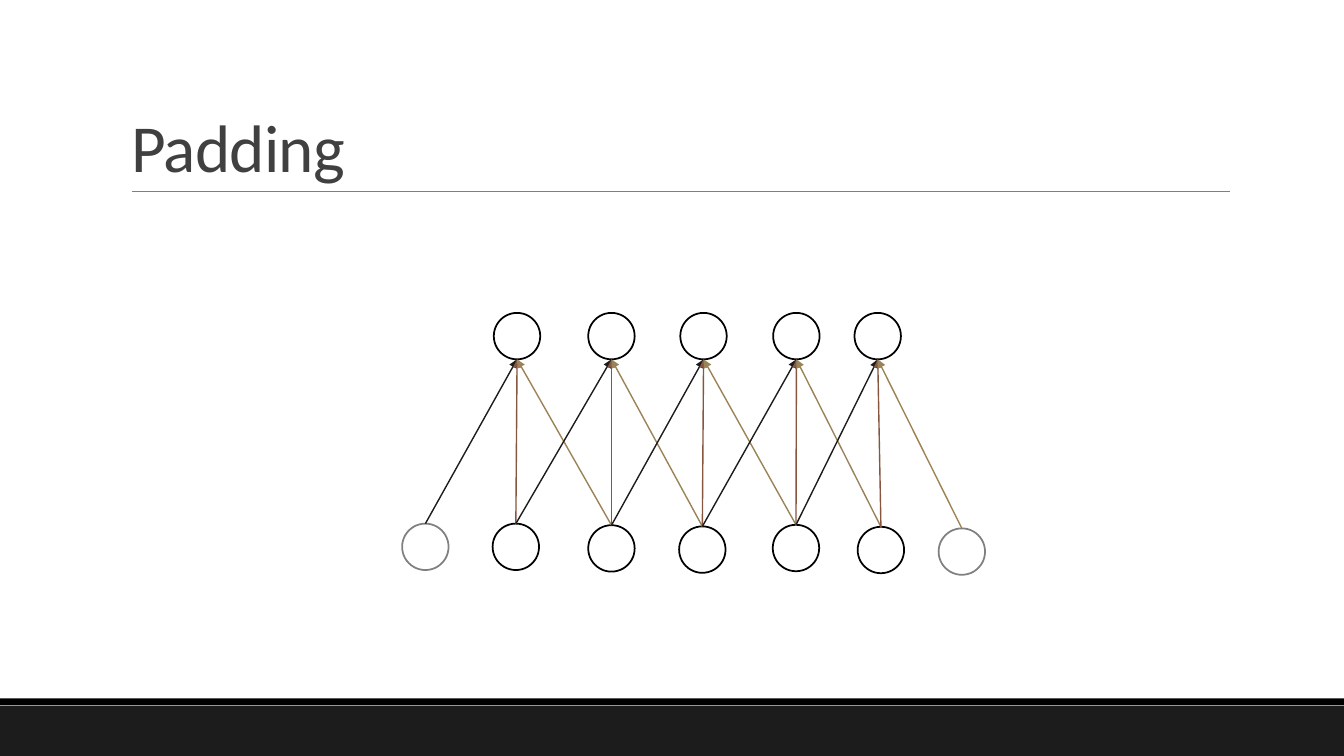
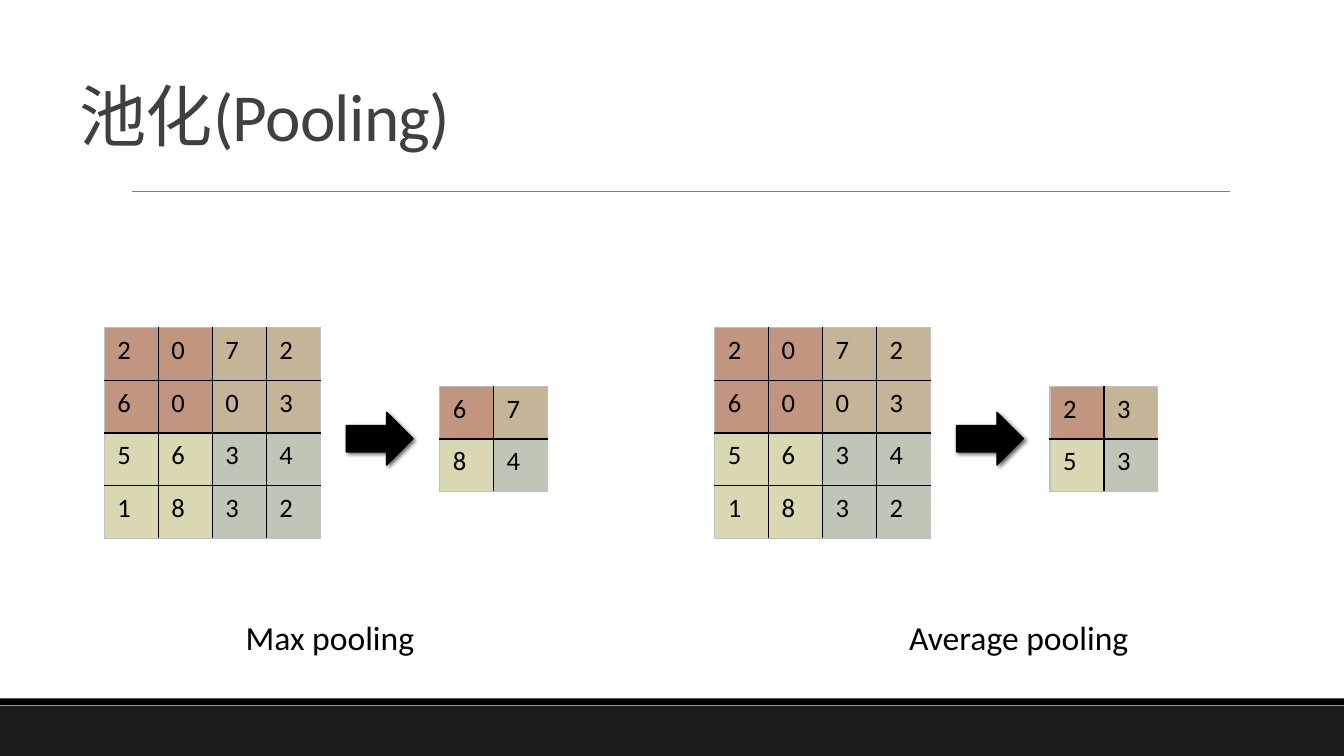
from lxml import etree
from pptx import Presentation
from pptx.dml.color import RGBColor
from pptx.enum.shapes import MSO_CONNECTOR, MSO_SHAPE
from pptx.enum.text import MSO_ANCHOR, MSO_AUTO_SIZE, PP_ALIGN
from pptx.oxml import parse_xml
from pptx.oxml.ns import nsdecls, qn
from pptx.util import Cm, Pt

STRAIGHT = MSO_CONNECTOR.STRAIGHT
RECTANGLE = MSO_SHAPE.RECTANGLE
OVAL = MSO_SHAPE.OVAL
RIGHT_ARROW = MSO_SHAPE.RIGHT_ARROW
BOTTOM = MSO_ANCHOR.BOTTOM
LEFT = PP_ALIGN.LEFT
NO_AUTOFIT = MSO_AUTO_SIZE.NONE

BLACK = RGBColor(0x00, 0x00, 0x00)
WHITE = RGBColor(0xFF, 0xFF, 0xFF)
CHARCOAL = RGBColor(0x1C, 0x1C, 0x1C)
TITLE_GRAY = RGBColor(0x40, 0x40, 0x40)
GRAY = RGBColor(0x80, 0x80, 0x80)
SILVER = RGBColor(0xBF, 0xBF, 0xBF)
RUST = RGBColor(0x86, 0x56, 0x40)
TAN = RGBColor(0x9B, 0x83, 0x57)
QUADRANT_FILLS = (
    (RGBColor(0xC2, 0x95, 0x80), RGBColor(0xC5, 0xB5, 0x98)),
    (RGBColor(0xDA, 0xD7, 0xB3), RGBColor(0xBF, 0xC6, 0xB8)),
)
KERNEL_COLORS = (CHARCOAL, RUST, TAN)

FONT = "Calibri"
SLIDE_WIDTH, SLIDE_HEIGHT = 33.87, 19.05
TITLE_ONLY_LAYOUT = 5

NODE_SIZE = 1.17
OUTPUT_Y = 8.47
OUTPUT_XS = (13.03, 15.41, 17.73, 20.07, 22.12)
INPUT_CENTERS = (
    (10.72, 13.78), (13, 13.78), (15.41, 13.82), (17.7, 13.85),
    (20.06, 13.81), (22.2, 13.86), (24.24, 13.9),
)

COLUMN_WIDTH, ROW_HEIGHT = 1.36, 1.33
MATRIX = ((2, 0, 7, 2), (6, 0, 0, 3), (5, 6, 3, 4), (1, 8, 3, 2))


def write_text(frame, text, size, color=BLACK, spacing=None, line_spacing=None):
    para = frame.paragraphs[0]
    para.alignment = LEFT
    if line_spacing:
        para.line_spacing = line_spacing
    span = para.add_run()
    span.text = text
    span.font.name = FONT
    span.font.size = Pt(size)
    span.font.color.rgb = color
    if spacing:
        span.font._element.set("spc", str(round(spacing * 100)))


def add_shape(page, kind, left, top, width, height, fill, line=None, weight=1):
    shape = page.shapes.add_shape(kind, Cm(left), Cm(top), Cm(width), Cm(height))
    shape.shadow.inherit = False
    shape.fill.solid()
    shape.fill.fore_color.rgb = fill
    if line is None:
        shape.line.fill.background()
    else:
        shape.line.color.rgb = line
        shape.line.width = Pt(weight)
    return shape


def add_line(page, start, end, color, weight, arrow=False):
    line = page.shapes.add_connector(STRAIGHT, *(Cm(value) for value in (*start, *end)))
    line.line.color.rgb = color
    line.line.width = Pt(weight)
    properties = line._element.spPr
    if arrow:
        etree.SubElement(properties.find(qn("a:ln")), qn("a:tailEnd"), type="triangle")
    etree.SubElement(properties, qn("a:effectLst"))


def add_page(deck, title, left, top, width, height):
    page = deck.slides.add_slide(deck.slide_layouts[TITLE_ONLY_LAYOUT])
    add_shape(page, RECTANGLE, 0, 17.78, SLIDE_WIDTH, 1.27, CHARCOAL)
    add_shape(page, RECTANGLE, 0, 17.6, SLIDE_WIDTH, 0.17, BLACK)
    add_line(page, (3.32, 4.82), (31, 4.82), GRAY, 0.5)
    box = page.shapes.title
    box.left, box.top, box.width, box.height = Cm(left), Cm(top), Cm(width), Cm(height)
    frame = box.text_frame
    frame.vertical_anchor = BOTTOM
    frame.auto_size = NO_AUTOFIT
    write_text(frame, title, 48, color=TITLE_GRAY, spacing=-0.5, line_spacing=0.85)
    return page


def add_node(page, center, line):
    left, top = (value - NODE_SIZE / 2 for value in center)
    add_shape(page, OVAL, left, top, NODE_SIZE, NODE_SIZE, WHITE, line, 1.25)


def add_convolution(page):
    last = len(INPUT_CENTERS) - 1
    for index, center in enumerate(INPUT_CENTERS):
        add_node(page, center, GRAY if index in (0, last) else BLACK)
    for x in OUTPUT_XS:
        add_node(page, (x, OUTPUT_Y), BLACK)
    radius = NODE_SIZE / 2
    for index, output_x in enumerate(OUTPUT_XS):
        for offset, color in enumerate(KERNEL_COLORS):
            input_x, input_y = INPUT_CENTERS[index + offset]
            add_line(page, (input_x, input_y - radius), (output_x, OUTPUT_Y + radius),
                     color, 1, arrow=True)


def set_borders(cell, colors):
    properties = cell._tc.get_or_add_tcPr()
    for side, color in colors.items():
        properties.append(parse_xml(
            f'<a:ln{side} {nsdecls("a")} w="12700"><a:solidFill>'
            f'<a:srgbClr val="{color}"/></a:solidFill></a:ln{side}>'))


def add_matrix(page, rows, left, top):
    count = len(rows)
    table = page.shapes.add_table(
        count, count, Cm(left), Cm(top),
        Cm(count * COLUMN_WIDTH), Cm(count * ROW_HEIGHT)).table
    table.first_row = False
    table.horz_banding = False
    for index in range(count):
        table.columns[index].width = Cm(COLUMN_WIDTH)
        table.rows[index].height = Cm(ROW_HEIGHT)
    for row, values in enumerate(rows):
        for column, value in enumerate(values):
            cell = table.cell(row, column)
            cell.margin_left = cell.margin_right = Cm(0.33)
            cell.margin_top = cell.margin_bottom = Cm(0.17)
            set_borders(cell, {
                "L": BLACK if column else SILVER,
                "R": BLACK if column < count - 1 else SILVER,
                "T": BLACK if row else SILVER,
                "B": BLACK if row < count - 1 else SILVER,
            })
            cell.fill.solid()
            cell.fill.fore_color.rgb = QUADRANT_FILLS[row * 2 // count][column * 2 // count]
            write_text(cell.text_frame, str(value), 19)


def add_block_arrow(page, left, top):
    arrow = add_shape(page, RIGHT_ARROW, left, top, 1.68, 1.33, BLACK, BLACK)
    effects = arrow._element.spPr.find(qn("a:effectLst"))
    effects.append(parse_xml(
        f'<a:outerShdw {nsdecls("a")} blurRad="38100" dist="25400" dir="2700000">'
        '<a:srgbClr val="000000"><a:alpha val="60000"/></a:srgbClr></a:outerShdw>'))


def pool(rows, reduce_window):
    return [
        [reduce_window([rows[row + down][column + across]
                        for down in range(2) for across in range(2)])
         for column in range(0, len(rows), 2)]
        for row in range(0, len(rows), 2)
    ]


def average(values):
    return sum(values) // len(values)


def add_pooling(page, left, reduce_window, label, label_left, label_width):
    add_matrix(page, MATRIX, left, 8.25)
    add_matrix(page, pool(MATRIX, reduce_window), left + 8.45, 9.73)
    add_block_arrow(page, left + 6.1, 10.39)
    box = page.shapes.add_textbox(Cm(label_left), Cm(15.42), Cm(label_width), Cm(1.27))
    box.text_frame.word_wrap = False
    write_text(box.text_frame, label, 24)


def main():
    deck = Presentation()
    deck.slide_width, deck.slide_height = Cm(SLIDE_WIDTH), Cm(SLIDE_HEIGHT)
    add_convolution(add_page(deck, "Padding", 3.05, 0.79, 27.94, 4.04))
    page = add_page(deck, "池化(Pooling)", 1.75, 0.86, 30.48, 3.18)
    add_pooling(page, 2.63, max, "Max pooling", 5.94, 4.8)
    add_pooling(page, 18.01, average, "Average pooling", 22.66, 6.1)
    deck.save("out.pptx")


if __name__ == "__main__":
    main()
